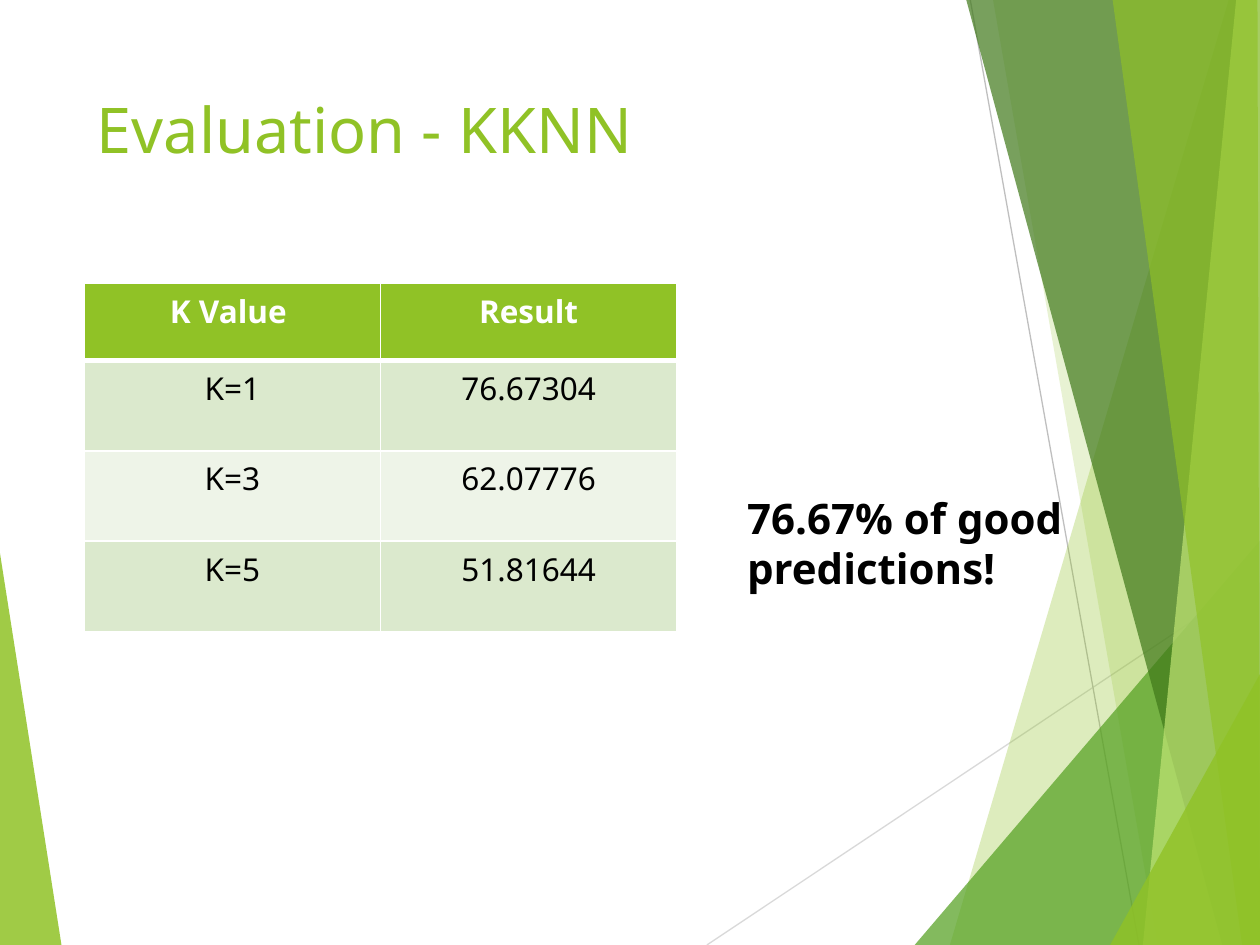
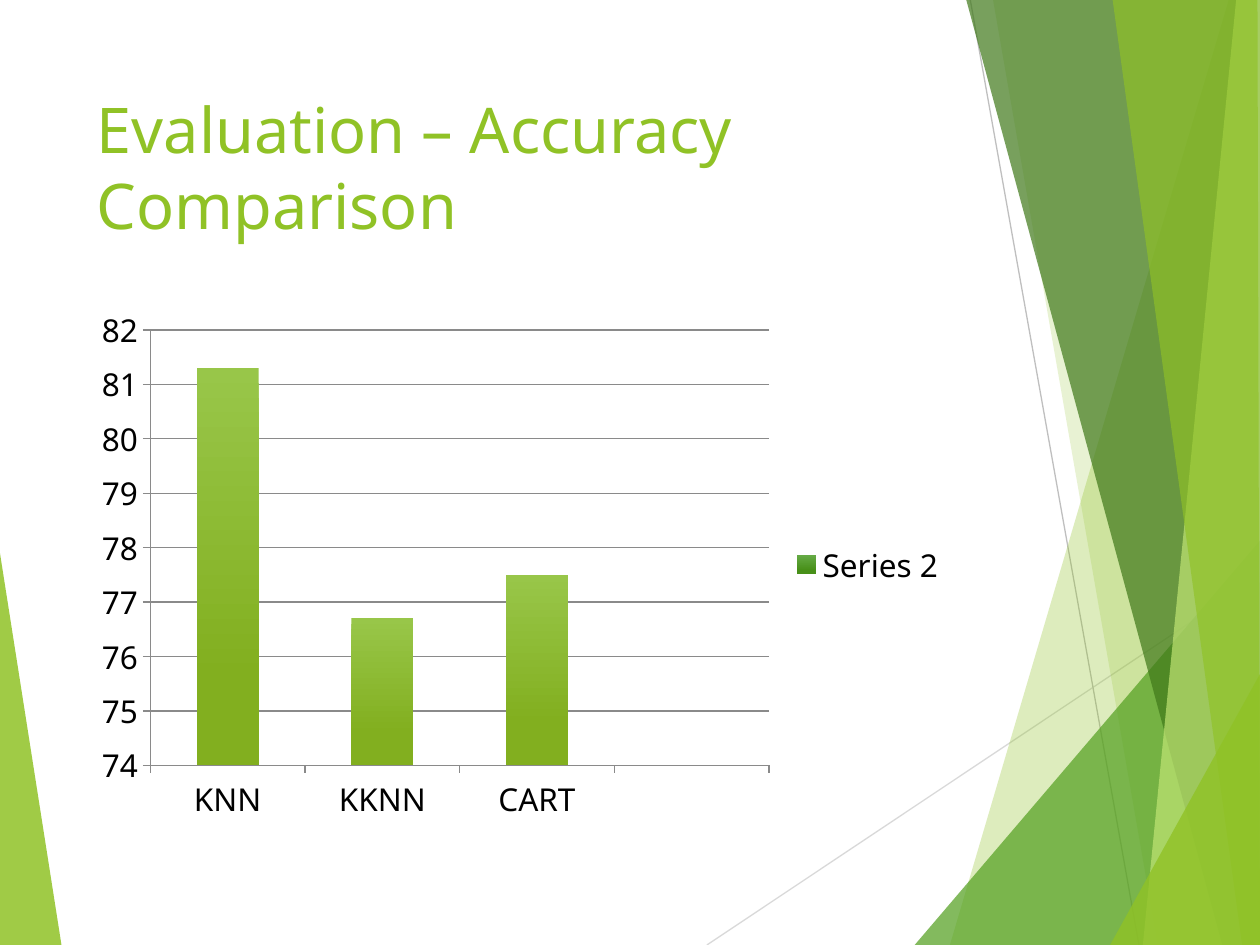
from lxml import etree
from pptx import Presentation
from pptx import util as u
from pptx.chart.data import CategoryChartData
from pptx.dml.color import RGBColor
from pptx.enum import chart as charts, shapes, text
from pptx.oxml.ns import qn

WIDTH, HEIGHT = 25.4, 19.05
FONT = "Noto Sans"
LIME, GREEN, DARK_GREEN, PALE_LIME = "90C226", "54A021", "3F7819", "C0E474"
WHITE, BLACK, GRID_GRAY = "FFFFFF", "000000", "8A8A8A"
ROW_FILLS = ["DBE9CD", "EEF4E8"]

TOP_RIGHT, BOTTOM_RIGHT = (WIDTH, 0), (WIDTH, HEIGHT)
LEFT_FACET = ([(0, 11.15), (1.24, HEIGHT), (0, HEIGHT)], LIME, 85)
RAYS = [((14.25, HEIGHT), (WIDTH, 11.61), "D9D9D9"),
        ((19.56, 0), (22.96, HEIGHT), "BFBFBF")]
RIGHT_FACETS = [
    ([(24.77, 0), (19.15, HEIGHT), BOTTOM_RIGHT, TOP_RIGHT], LIME, 30),
    ([(20.02, 0), (23.34, HEIGHT), BOTTOM_RIGHT, TOP_RIGHT], LIME, 20),
    ([(18.44, HEIGHT), (WIDTH, 10.9), BOTTOM_RIGHT], GREEN, 72),
    ([(19.48, 0), (24.64, HEIGHT), BOTTOM_RIGHT, TOP_RIGHT], DARK_GREEN, 70),
    ([(24.92, 0), (23.04, HEIGHT), BOTTOM_RIGHT, TOP_RIGHT], PALE_LIME, 70),
    ([(22.43, 0), (25.04, HEIGHT), BOTTOM_RIGHT, (25.35, 0)], LIME, 65),
    ([(22.38, HEIGHT), (WIDTH, 13.59), BOTTOM_RIGHT], LIME, 80),
]


def color(hex_string):
    return RGBColor.from_string(hex_string)


def style_font(font, size, hex_string, bold=False):
    font.name, font.size, font.bold = FONT, u.Pt(size), bold
    font.color.rgb = color(hex_string)


def set_text(text_frame, words, size, hex_string, bold=False, align=None):
    text_frame.text = words
    paragraph = text_frame.paragraphs[0]
    paragraph.alignment = align
    style_font(paragraph.runs[0].font, size, hex_string, bold)


def add_text(slide, box, words, size, hex_string, bold=False):
    text_frame = slide.shapes.add_textbox(*map(u.Cm, box)).text_frame
    text_frame.word_wrap = True
    text_frame.vertical_anchor = text.MSO_ANCHOR.TOP
    set_text(text_frame, words, size, hex_string, bold)


def add_facet(slide, points, hex_string, opacity):
    corners = [(u.Cm(x), u.Cm(y)) for x, y in points]
    builder = slide.shapes.build_freeform(*corners[0])
    builder.add_line_segments(corners[1:], close=True)
    shape = builder.convert_to_shape()
    shape.shadow.inherit = False
    shape.line.fill.background()
    shape.fill.solid()
    shape.fill.fore_color.rgb = color(hex_string)
    fill_color = shape.element.spPr.find(".//" + qn("a:srgbClr"))
    etree.SubElement(fill_color, qn("a:alpha"), val=str(opacity * 1000))


def add_ray(slide, start, end, hex_string):
    ray = slide.shapes.add_connector(
        shapes.MSO_CONNECTOR.STRAIGHT, *map(u.Cm, start + end))
    ray.line.width = u.Pt(0.75)
    ray.line.color.rgb = color(hex_string)
    etree.SubElement(ray.element.spPr, qn("a:effectLst"))


def add_base_slide(presentation, title, title_width):
    slide = presentation.slides.add_slide(presentation.slide_layouts[6])
    # Facets and thin rays behind the content
    add_facet(slide, *LEFT_FACET)
    for ray in RAYS:
        add_ray(slide, *ray)
    for facet in RIGHT_FACETS:
        add_facet(slide, *facet)
    # Title
    add_text(slide, (1.7, 1.7, title_width, 3.66), title, 36, LIME)
    return slide


def set_borders(cell, bottom_width):
    properties = cell._tc.get_or_add_tcPr()
    widths = {"lnL": 1, "lnR": 1, "lnT": 1, "lnB": bottom_width}
    for index, (side, width) in enumerate(widths.items()):
        border = etree.Element(qn("a:" + side), w=str(u.Pt(width)))
        fill = etree.SubElement(border, qn("a:solidFill"))
        etree.SubElement(fill, qn("a:srgbClr"), val=WHITE)
        properties.insert(index, border)


def add_result_table(slide, box, rows, header_height):
    left, top, width, height = box
    table = slide.shapes.add_table(
        len(rows), len(rows[0]), *map(u.Cm, box)).table
    for column in table.columns:
        column.width = u.Cm(width / len(rows[0]))
    body_height = (height - header_height) / (len(rows) - 1)
    for index, values in enumerate(rows):
        header = index == 0
        table.rows[index].height = u.Cm(header_height if header else body_height)
        for cell, value in zip(table.rows[index].cells, values):
            cell.fill.solid()
            cell.fill.fore_color.rgb = color(
                LIME if header else ROW_FILLS[(index - 1) % 2])
            set_borders(cell, 3 if header else 1)
            set_text(cell.text_frame, value, 18, WHITE if header else BLACK,
                     header, text.PP_ALIGN.CENTER)


def fill_series(series, top_color, bottom_color):
    fill = series.format.fill
    fill.gradient()
    fill.gradient_angle = 270
    stops = zip(fill.gradient_stops, (0, 0.78), (top_color, bottom_color))
    for stop, position, hex_string in stops:
        stop.position = position
        stop.color.rgb = color(hex_string)


def add_accuracy_chart(slide, box):
    data = CategoryChartData()
    data.categories = ["KNN", "KKNN", "CART", ""]
    data.add_series("Series 1", [81.3, 76.7, 77.5, None])
    data.add_series("Series 2", [None] * 4)
    chart = slide.shapes.add_chart(
        charts.XL_CHART_TYPE.COLUMN_STACKED, *map(u.Cm, box), data).chart
    style_font(chart.font, 18, BLACK)
    chart.has_title = False

    # Columns
    plot = chart.plots[0]
    plot.gap_width, plot.overlap, plot.vary_by_categories = 150, 100, False
    fill_series(plot.series[0], "98C649", "82AF1F")
    fill_series(plot.series[1], "65AA45", "489019")

    # Axes
    value_axis = chart.value_axis
    value_axis.minimum_scale, value_axis.maximum_scale = 74, 82
    value_axis.major_unit = 1
    value_axis.has_major_gridlines = True
    value_axis.tick_labels.number_format = "General"
    value_axis.tick_labels.number_format_is_linked = False
    for axis in (value_axis, chart.category_axis):
        axis.major_tick_mark = charts.XL_TICK_MARK.OUTSIDE
        axis.format.line.color.rgb = color(GRID_GRAY)
    value_axis.major_gridlines.format.line.color.rgb = color(GRID_GRAY)

    # Legend without the first series
    chart.has_legend = True
    legend = chart.legend
    legend.position = charts.XL_LEGEND_POSITION.RIGHT
    legend.include_in_layout = False
    entry = etree.Element(qn("c:legendEntry"))
    etree.SubElement(entry, qn("c:idx"), val="0")
    etree.SubElement(entry, qn("c:delete"), val="1")
    legend._element.find(qn("c:legendPos")).addnext(entry)


def add_kknn_slide(presentation):
    slide = add_base_slide(presentation, "Evaluation - KKNN", 17.63)
    add_text(slide, (14.81, 9.8, 8.33, 2.31),
             "76.67% of good predictions!", 24, BLACK, bold=True)
    rows = [("K Value ", "Result"), ("K=1", "76.67304"),
            ("K=3", "62.07776"), ("K=5", "51.81644")]
    add_result_table(slide, (1.7, 5.72, 11.94, 7.01), rows, 1.55)


def add_comparison_slide(presentation):
    slide = add_base_slide(
        presentation, "Evaluation – Accuracy Comparison", 20.68)
    add_accuracy_chart(slide, (1.7, 6, 17.63, 10.77))


def main():
    presentation = Presentation()
    presentation.slide_width = u.Cm(WIDTH)
    presentation.slide_height = u.Cm(HEIGHT)
    add_kknn_slide(presentation)
    add_comparison_slide(presentation)
    presentation.save("out.pptx")


if __name__ == "__main__":
    main()
